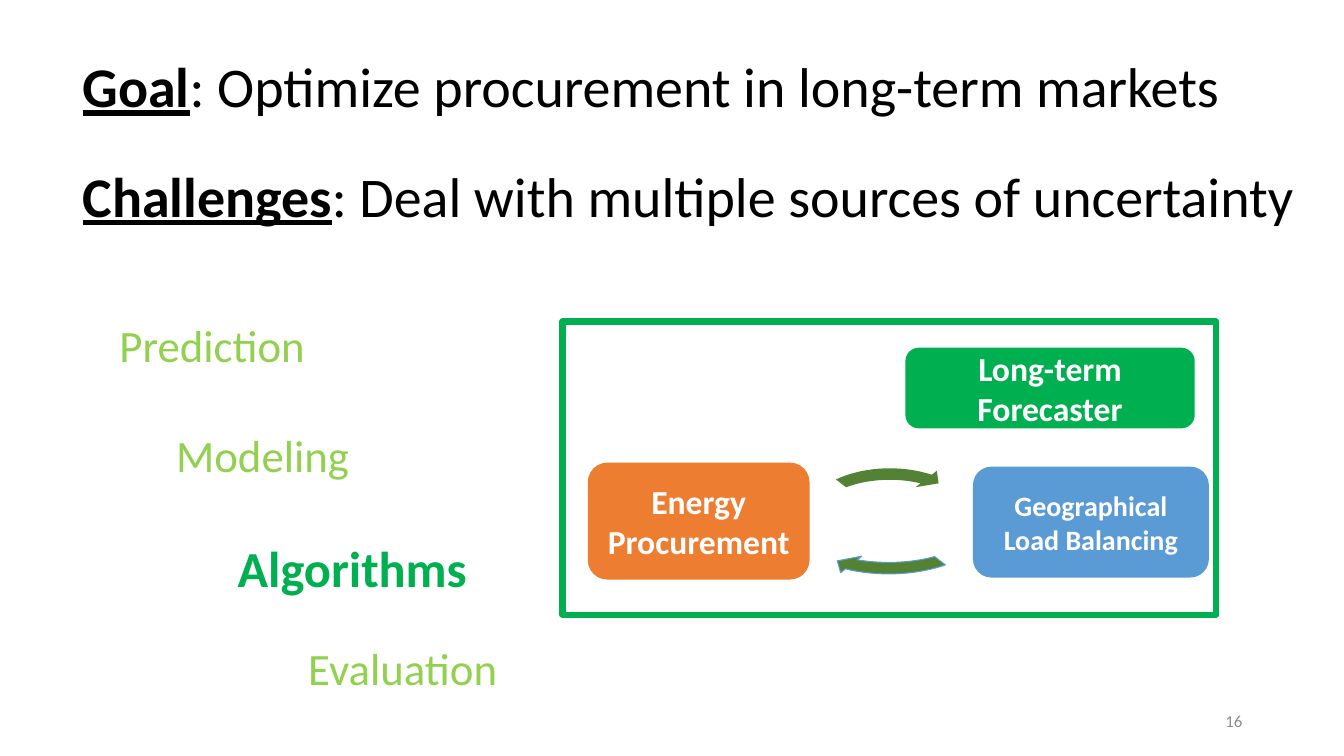
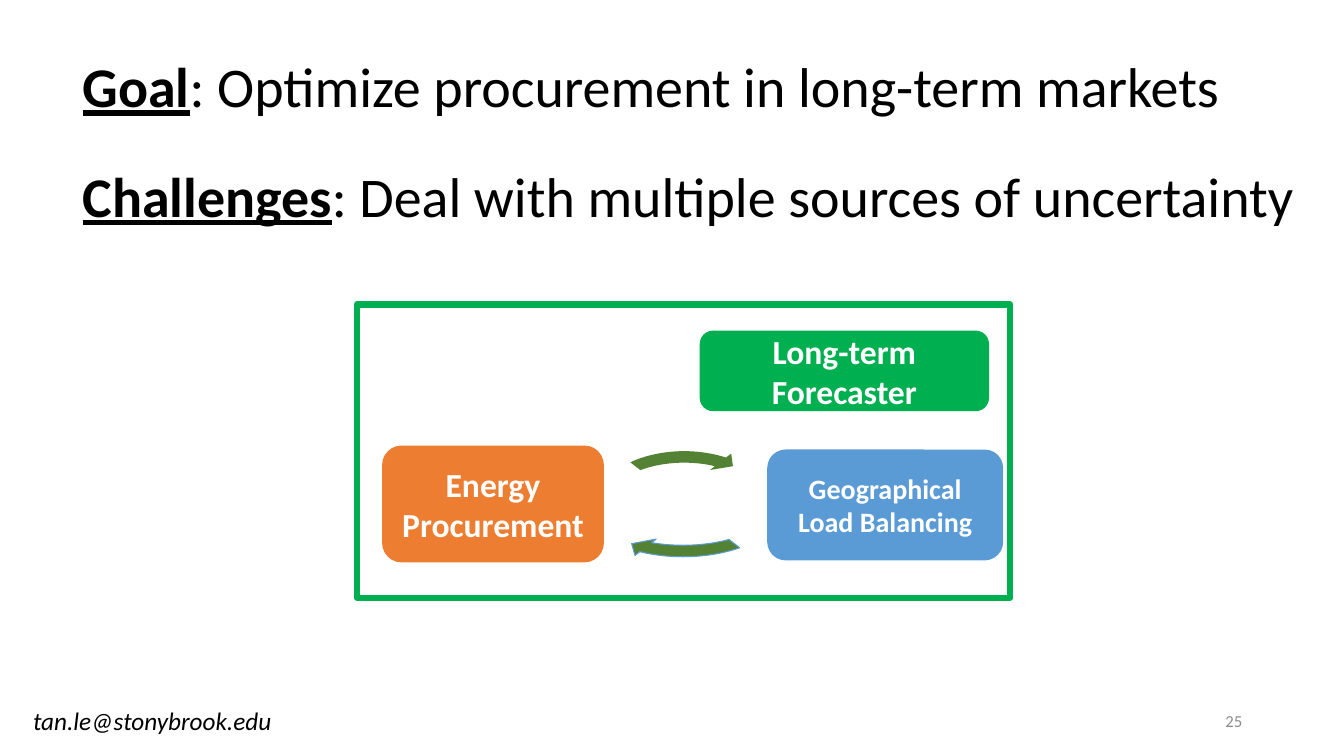
"""Builds two slides on procurement in long-term energy markets."""
from pptx import Presentation
from pptx.dml.color import RGBColor
from pptx.enum.shapes import MSO_SHAPE
from pptx.enum.text import MSO_ANCHOR, PP_ALIGN
from pptx.util import Emu, Pt

FONT = "Calibri"
BLACK, WHITE, GRAY = "000000", "FFFFFF", "8C8C8C"
GREEN, LIME, MOSS = "00B050", "92D050", "548235"
ORANGE, BLUE = "ED7D31", "5B9BD5"
HEADINGS = [
    ("Goal", ": Optimize procurement in long-term markets", 46),
    ("Challenges", ": Deal with multiple sources of uncertainty", 155),
]
STEPS = [
    ("Prediction", 72, 310),
    ("Modeling", 122, 419),
    ("Algorithms", 211, 528),
    ("Evaluation", 261, 631),
]


def px(n):
    """Turns px, 100 to the inch, into EMU."""
    return Emu(n * 9144)


def rgb(color):
    """Turns a hex string into a colour."""
    return RGBColor.from_string(color)


class Deck:
    """Holds the style and the current slide."""

    def __init__(self):
        """Starts a wide presentation."""
        self.prs = Presentation()
        self.prs.slide_width, self.prs.slide_height = px(1333), px(750)
        self.s = None

    def slide(self, number):
        """Adds a slide with the shared headings and its page number."""
        self.s = self.prs.slides.add_slide(self.prs.slide_layouts[6])
        for label, rest, y in HEADINGS:
            self.heading(label, rest, y)
        self.text(str(number), 942, 695, 300, 40, 12, GRAY,
                  align=PP_ALIGN.RIGHT, anchor=MSO_ANCHOR.MIDDLE)

    def style(self, r, size, color, bold=False, italic=False, underline=False):
        """Formats one run."""
        f = r.font
        f.name, f.size, f.color.rgb = FONT, Pt(size), rgb(color)
        f.bold, f.italic, f.underline = bold, italic, underline

    def text(self, text, x, y, w, h, size, color, align=PP_ALIGN.LEFT,
             anchor=MSO_ANCHOR.TOP, **look):
        """Adds a text box of one paragraph."""
        tf = self.s.shapes.add_textbox(px(x), px(y), px(w), px(h)).text_frame
        tf.word_wrap, tf.vertical_anchor = True, anchor
        p = tf.paragraphs[0]
        p.text, p.alignment = text, align
        self.style(p.runs[0], size, color, **look)
        return p

    def heading(self, label, rest, y):
        """Adds a line with an underlined label."""
        p = self.text(label, 72, y, 1239, 77, 40, BLACK, bold=True, underline=True)
        r = p.add_run()
        r.text = rest
        self.style(r, 40, BLACK)

    def shape(self, kind, x, y, w, h, fill=None, line=None, weight=0.75):
        """Adds a preset shape."""
        sp = self.s.shapes.add_shape(kind, px(x), px(y), px(w), px(h))
        sp.shadow.inherit = False
        if fill:
            sp.fill.solid()
            sp.fill.fore_color.rgb = rgb(fill)
        else:
            sp.fill.background()
        if line:
            sp.line.color.rgb, sp.line.width = rgb(line), Pt(weight)
        else:
            sp.line.fill.background()
        return sp

    def box(self, text, x, y, w, h, fill, size=24):
        """Adds a rounded box with a bold white label."""
        tf = self.shape(MSO_SHAPE.ROUNDED_RECTANGLE, x, y, w, h, fill).text_frame
        tf.word_wrap, tf.vertical_anchor = True, MSO_ANCHOR.MIDDLE
        p = tf.paragraphs[0]
        p.text, p.alignment = text, PP_ALIGN.CENTER
        self.style(p.runs[0], size, WHITE, bold=True)

    def arrow(self, x, y, w, h, end, start, line=None):
        """Adds a curved arrow between two angles."""
        sp = self.shape(MSO_SHAPE.CIRCULAR_ARROW, x, y, w, h, MOSS, line)
        for i, value in enumerate((0.095, 6.849, end, start, 0.111)):
            sp.adjustments[i] = value

    def diagram(self, x, y):
        """Draws the framed planning loop with its corner at x, y."""
        self.shape(MSO_SHAPE.RECTANGLE, x, y, 648, 291, line=GREEN, weight=4.5)
        self.box("Energy Procurement", x + 25, y + 140, 220, 116, ORANGE)
        self.box("Geographical Load Balancing", x + 407, y + 144, 234, 110, BLUE, 20)
        self.box("Long-term Forecaster", x + 340, y + 26, 287, 80, GREEN)
        self.arrow(x + 215, y + 138, 217, 120, 78.511, 22.64, BLUE)
        self.arrow(x + 230, y + 138, 189, 120, 186.511, 130.64)

    def steps(self, current):
        """Lists the steps and stresses the current one."""
        for name, x, y in STEPS:
            on = name == current
            self.text(name, x, y, 277, 71 if on else 64, 36 if on else 32,
                      GREEN if on else LIME, PP_ALIGN.CENTER, bold=on)


def main():
    """Builds and saves both slides."""
    deck = Deck()
    deck.slide(16)
    deck.steps("Algorithms")
    deck.diagram(558, 319)
    deck.slide(25)
    deck.diagram(354, 302)
    deck.text("tan.le@stonybrook.edu", 23, 695, 259, 40, 18, BLACK, italic=True)
    deck.prs.save("out.pptx")


if __name__ == "__main__":
    main()
